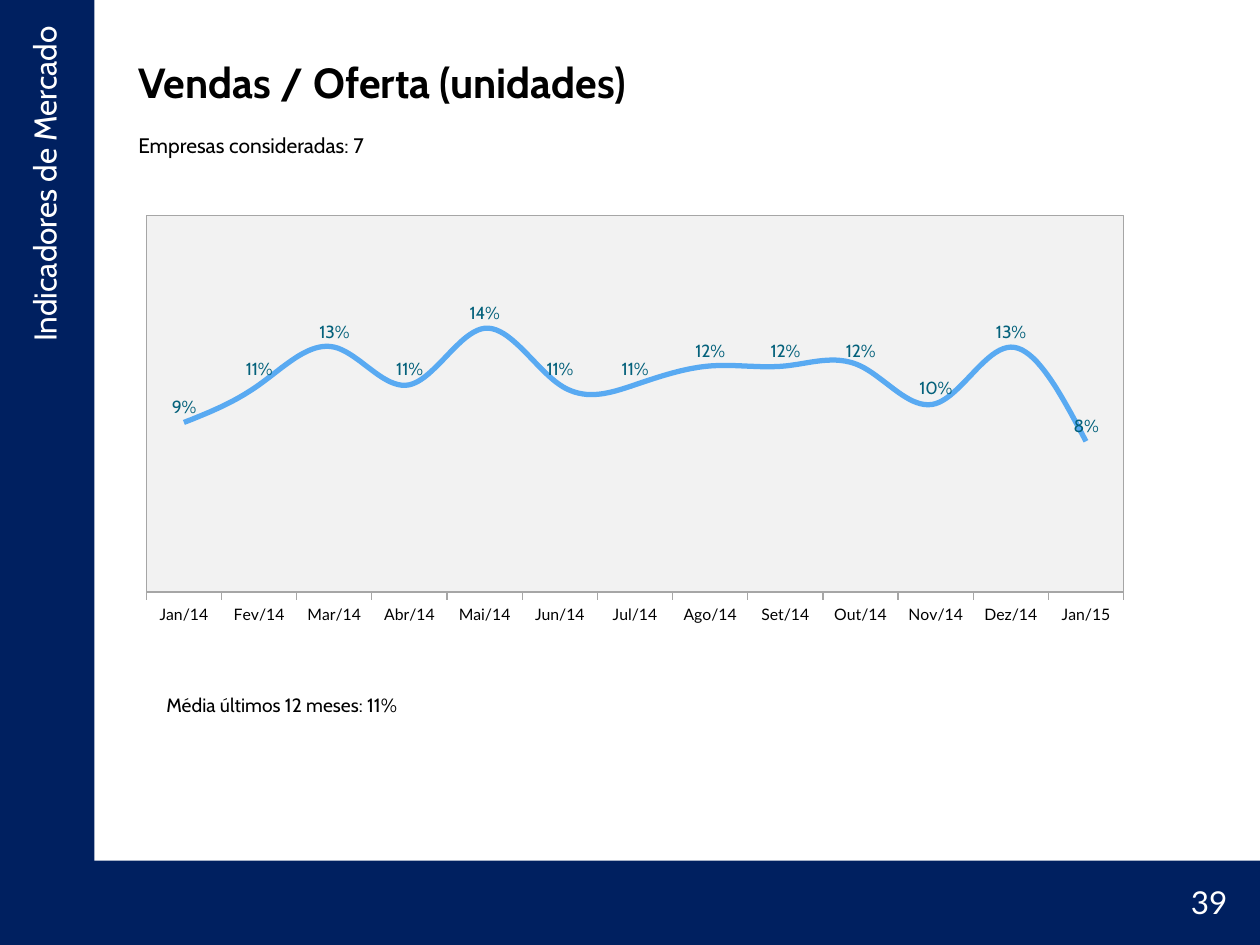
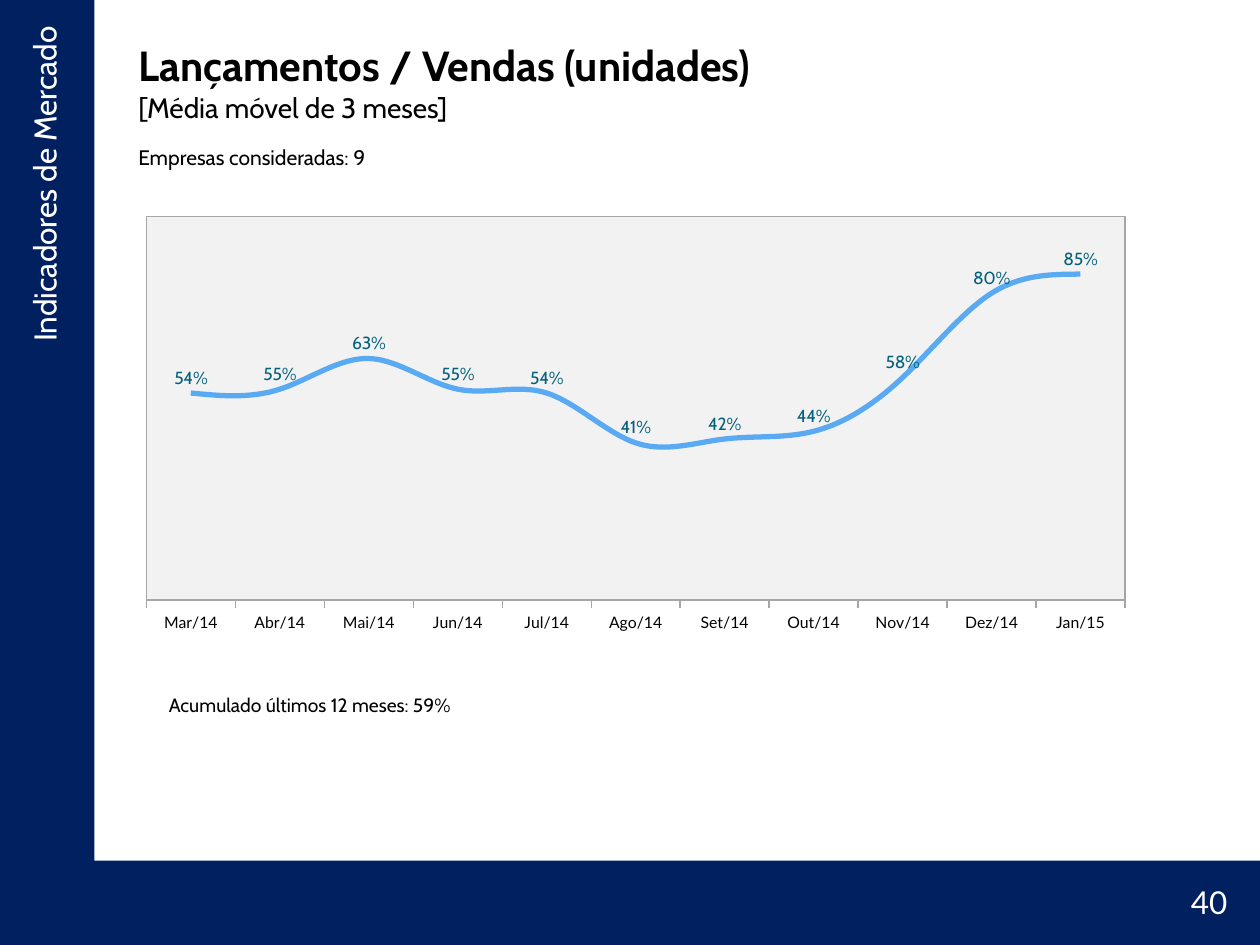
from lxml import etree
from pptx import Presentation
from pptx.chart.data import CategoryChartData
from pptx.dml.color import RGBColor
from pptx.enum.chart import (XL_CHART_TYPE as ChartType, XL_LABEL_POSITION as LabelPosition,
                             XL_MARKER_STYLE as MarkerStyle, XL_TICK_LABEL_POSITION as TickLabels,
                             XL_TICK_MARK as TickMark)
from pptx.enum.shapes import MSO_SHAPE as Shape
from pptx.enum.text import MSO_ANCHOR as Anchor, PP_ALIGN as Align
from pptx.oxml import parse_xml
from pptx.oxml.ns import nsdecls, qn
from pptx.util import Inches, Pt

COLORS = {"band": "002060", "text": "000000", "light": "FFFFFF", "plot": "F2F2F2",
          "axis": "A6A6A6", "curve": "59AAF2", "label": "04617B"}
HEAD_FONT, DATA_FONT = "Cabin", "Lato"
SECTION = "Indicadores de Mercado"

# Shared geometry in inches; the side band overlaps the footer slightly to hide the seam
PAGE_WIDTH, PAGE_HEIGHT = 10, 7.5
FOOTER_TOP, SIDE_WIDTH, OVERLAP = 6.83, 0.75, 0.02
BANDS = [(0, FOOTER_TOP, PAGE_WIDTH, PAGE_HEIGHT - FOOTER_TOP),
         (0, 0, SIDE_WIDTH, FOOTER_TOP + OVERLAP)]
SECTION_BOX = (-2.55, 2.81, 5.8, 0.4)
NUMBER_BOX = (8.92, 6.96, 0.92, 0.4)
TITLE_BOX = (1, 0.3, 8.5, 0.7)

# Plot position as fractions of the chart
PLOT_LAYOUT = {"x": 0.02, "y": 0.02, "w": 0.96, "h": 0.88}

MONTHS = ["Jan/14", "Fev/14", "Mar/14", "Abr/14", "Mai/14", "Jun/14", "Jul/14",
          "Ago/14", "Set/14", "Out/14", "Nov/14", "Dez/14", "Jan/15"]
PAGES = [
    {"number": 39, "title": "Vendas / Oferta (unidades)", "subtitle": None,
     "companies": "Empresas consideradas: 7", "companies_box": (1, 1, 2.17, 0.3),
     "chart_box": (1, 1.64, 8.08, 3.4), "months": MONTHS, "axis_top": 0.2,
     "values": [0.09, 0.11, 0.13, 0.11, 0.14, 0.11, 0.11, 0.12, 0.12, 0.12, 0.1, 0.13, 0.08],
     "summary": "Média últimos 12 meses: 11%", "summary_box": (1.31, 5.46, 2.15, 0.23)},
    {"number": 40, "title": "Lançamentos / Vendas (unidades)",
     "subtitle": "[Média móvel de 3 meses]",
     "companies": "Empresas consideradas: 9", "companies_box": (1, 1.1, 2.17, 0.3),
     "chart_box": (1, 1.65, 8.09, 3.46), "months": MONTHS[2:], "axis_top": 1,
     "values": [0.54, 0.55, 0.63, 0.55, 0.54, 0.41, 0.42, 0.44, 0.58, 0.8, 0.85],
     "summary": "Acumulado últimos 12 meses: 59%", "summary_box": (1.33, 5.46, 2.58, 0.23)},
]


def rgb(name):
    return RGBColor.from_string(COLORS[name])


def inches(box):
    return [Inches(length) for length in box]


def style_font(font, size, color="text", name=HEAD_FONT, bold=False):
    font.size, font.name, font.bold = Pt(size), name, bold
    font.color.rgb = rgb(color)


def style_line(line, color, width):
    line.color.rgb = rgb(color)
    line.width = Pt(width)


def solid_fill(color):
    return f'<a:solidFill><a:srgbClr val="{COLORS[color]}"/></a:solidFill>'


def add_text(page, box, text, size, color="text", name=HEAD_FONT, align=Align.LEFT):
    shape = page.shapes.add_textbox(*inches(box))
    shape.text_frame.word_wrap = True
    para = shape.text_frame.paragraphs[0]
    para.text = text
    para.alignment = align
    for span in para.runs:
        style_font(span.font, size, color, name)
    return shape


def add_page_frame(page, number):
    # Bottom and side bands
    for box in BANDS:
        band = page.shapes.add_shape(Shape.RECTANGLE, *inches(box))
        band.shadow.inherit = False
        band.fill.solid()
        band.fill.fore_color.rgb = rgb("band")
        band.line.fill.background()
    # Vertical section name and page number
    section = add_text(page, SECTION_BOX, SECTION, 18, "light", align=Align.RIGHT)
    section.rotation = 270
    add_text(page, NUMBER_BOX, str(number), 18, "light", DATA_FONT, Align.RIGHT)


def add_title(page, box, title, subtitle):
    text = f"{title}\v{subtitle}" if subtitle else title
    frame = add_text(page, box, text, 16).text_frame
    frame.vertical_anchor = Anchor.MIDDLE
    style_font(frame.paragraphs[0].runs[0].font, 24, bold=True)


def area_format(fill, outline):
    return parse_xml(f'<c:spPr {nsdecls("c", "a")}>{solid_fill(fill)}'
                     f'<a:ln w="{Pt(0.75)}">{outline}</a:ln></c:spPr>')


def format_areas(chart):
    # Chart background, then the outlined plot background
    space = chart.element
    space.find(qn("c:txPr")).addprevious(area_format("light", "<a:noFill/>"))
    plot_area = space.find(qn("c:chart")).find(qn("c:plotArea"))
    plot_area.append(area_format("plot", solid_fill("axis")))

    # Fixed inner plot position
    for automatic in plot_area.findall(qn("c:layout")):
        plot_area.remove(automatic)
    layout = etree.Element(qn("c:layout"))
    manual = etree.SubElement(layout, qn("c:manualLayout"))
    settings = {"layoutTarget": "inner", "xMode": "edge", "yMode": "edge", **PLOT_LAYOUT}
    for tag, value in settings.items():
        etree.SubElement(manual, qn(f"c:{tag}")).set("val", str(value))
    plot_area.insert(0, layout)


def format_axes(chart, axis_top):
    month_axis, share_axis = chart.category_axis, chart.value_axis
    for axis in (month_axis, share_axis):
        axis.has_major_gridlines = False
    month_axis.major_tick_mark = TickMark.OUTSIDE
    month_axis.tick_label_position = TickLabels.LOW
    style_font(month_axis.tick_labels.font, 9, name=DATA_FONT)
    style_line(month_axis.format.line, "axis", 0.75)
    share_axis.minimum_scale, share_axis.maximum_scale = 0, axis_top
    share_axis.visible = False


def format_curve(plot):
    plot.vary_by_categories = False
    curve = plot.series[0]
    curve.smooth = True
    curve.marker.style = MarkerStyle.NONE
    style_line(curve.format.line, "curve", 3)
    labels = curve.data_labels
    labels.show_value = True
    labels.position = LabelPosition.ABOVE
    labels.number_format, labels.number_format_is_linked = "0%", False
    style_font(labels.font, 10, "label")


def add_line_chart(page, box, months, values, axis_top):
    data = CategoryChartData(number_format="0%")
    data.categories = months
    data.add_series("Series 1", values)
    chart = page.shapes.add_chart(ChartType.LINE, *inches(box), data).chart
    chart.has_legend = chart.has_title = False
    style_font(chart.font, 10, name=DATA_FONT)
    format_areas(chart)
    format_axes(chart, axis_top)
    format_curve(chart.plots[0])


def add_summary(page, box, text):
    holder = page.shapes.add_table(1, 1, *inches(box))
    table = holder.table
    table.first_row = table.horz_banding = False
    cell = table.cell(0, 0)
    cell.margin_left = cell.margin_right = cell.margin_top = Inches(0.01)
    cell.margin_bottom = 0
    cell.vertical_anchor = Anchor.BOTTOM
    cell.fill.background()
    para = cell.text_frame.paragraphs[0]
    para.text = text
    style_font(para.runs[0].font, 11)
    # White borders, which must precede the fill in the cell properties
    properties = next(holder.element.iter(qn("a:tcPr")))
    for index, side in enumerate(["lnL", "lnR", "lnT", "lnB"]):
        properties.insert(index, parse_xml(
            f'<a:{side} {nsdecls("a")} w="{Pt(1)}">{solid_fill("light")}</a:{side}>'))


def build_page(deck, content):
    page = deck.slides.add_slide(deck.slide_layouts[6])
    add_page_frame(page, content["number"])
    add_title(page, TITLE_BOX, content["title"], content["subtitle"])
    add_text(page, content["companies_box"], content["companies"], 12)
    add_summary(page, content["summary_box"], content["summary"])
    add_line_chart(page, content["chart_box"], content["months"], content["values"],
                   content["axis_top"])


def main():
    deck = Presentation()
    deck.slide_width, deck.slide_height = Inches(PAGE_WIDTH), Inches(PAGE_HEIGHT)
    for content in PAGES:
        build_page(deck, content)
    deck.save("out.pptx")


if __name__ == "__main__":
    main()
